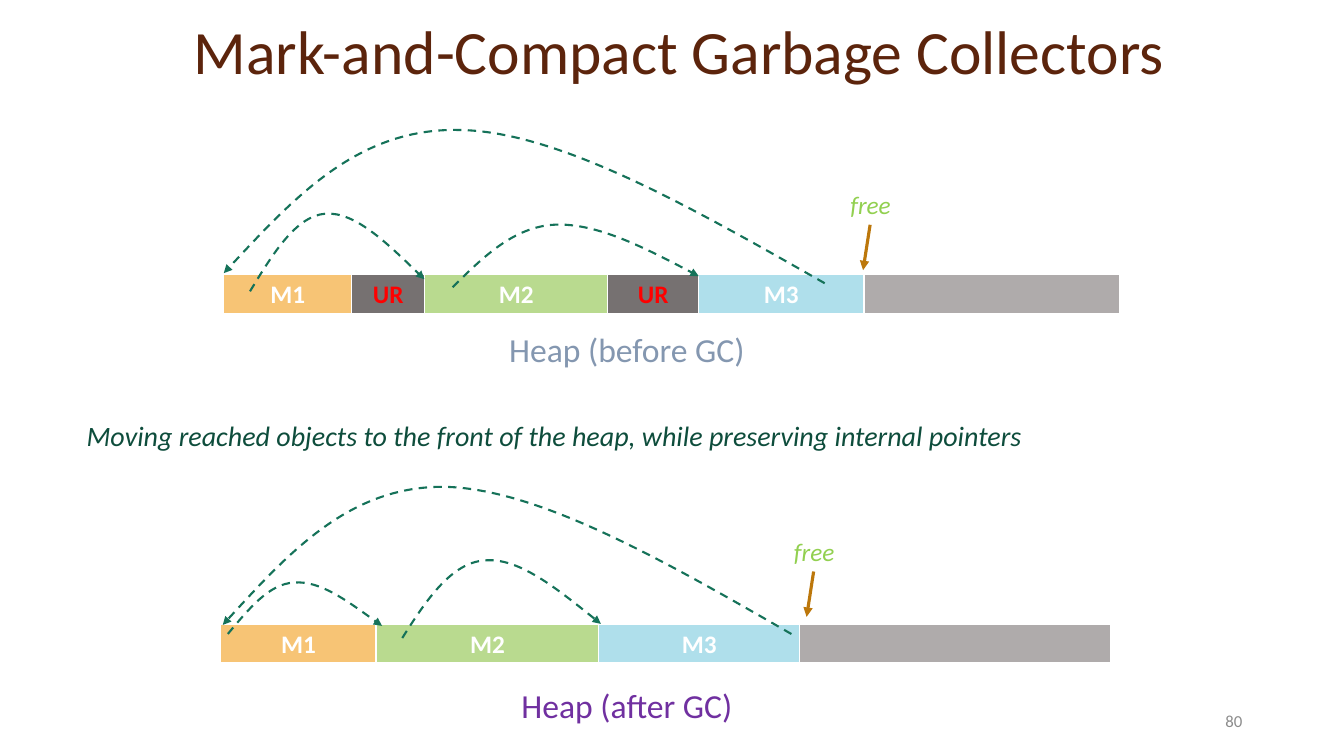
from pptx import Presentation
from pptx.dml.color import RGBColor
from pptx.enum.dml import MSO_LINE
from pptx.enum.shapes import MSO_CONNECTOR
from pptx.enum.text import MSO_ANCHOR, MSO_AUTO_SIZE, PP_ALIGN
from pptx.oxml.ns import qn
from pptx.util import Inches, Pt
from lxml.etree import SubElement

COLORS = {
    "title": "5C240C", "number": "8C8C8C", "before": "8497B0", "after": "7030A0",
    "note": "0E4D3C", "free": "92D050", "free arrow": "BC770B", "pointer": "157259",
    "white": "FFFFFF", "red": "FF0000", "M1": "F7C475", "M2": "B9DA8F",
    "M3": "AFDFEB", "UR": "767171", "": "AFABAB",
}
FONT = "Calibri"
BAR_HEIGHT = 0.4

# Text: wording, (left, top, width, height), colour, alignment, anchor, font values
CENTER, LEFT, RIGHT = PP_ALIGN.CENTER, PP_ALIGN.LEFT, PP_ALIGN.RIGHT
TOP, MIDDLE = MSO_ANCHOR.TOP, MSO_ANCHOR.MIDDLE
TEXTS = [
    (" Mark-and-Compact Garbage Collectors", (0.92, 0.16, 11.5, 0.76),
     "title", CENTER, MIDDLE, {"size": Pt(44)}),
    ("80", (9.42, 6.95, 3, 0.4), "number", RIGHT, MIDDLE, {"size": Pt(12)}),
    ("Heap (before GC) ", (4.73, 3.21, 3.05, 0.5), "before", CENTER, TOP, {"size": Pt(24)}),
    ("Heap (after GC) ", (4.73, 6.75, 3.05, 0.5), "after", CENTER, TOP, {"size": Pt(24)}),
    ("Moving reached objects to the front of the heap, while preserving internal pointers",
     (0.76, 4.1, 9.71, 0.44), "note", LEFT, TOP, {"size": Pt(20), "italic": True}),
]

# Heaps: bar corner, (block, width) cells, corner of the "free" label,
# and pointers as a start point followed by cubic Bézier points
HEAPS = [
    {"corner": (2.22, 2.72),
     "blocks": [("M1", 1.27), ("UR", 0.72), ("M2", 1.82), ("UR", 0.9), ("M3", 1.64), ("", 2.54)],
     "free": (8.18, 1.83),
     "pointers": [
         [(2.48, 2.89), (2.71, 2.51), (2.94, 2.14), (3.23, 2.12),
          (3.52, 2.1), (3.87, 2.44), (4.21, 2.77)],
         [(4.49, 2.85), (4.79, 2.55), (5.1, 2.25), (5.5, 2.23),
          (5.91, 2.21), (6.42, 2.47), (6.93, 2.74)],
         [(8.18, 2.81), (6.86, 2.06), (5.54, 1.3), (4.55, 1.29),
          (3.55, 1.27), (2.89, 1.99), (2.22, 2.71)]]},
    {"corner": (2.19, 6.19),
     "blocks": [("M1", 1.54), ("M2", 2.21), ("M3", 1.99), ("", 3.09)],
     "free": (7.62, 5.27),
     "pointers": [
         [(2.26, 6.29), (2.47, 6.04), (2.67, 5.79), (2.92, 5.78),
          (3.18, 5.76), (3.48, 5.99), (3.79, 6.21)],
         [(3.99, 6.33), (4.23, 5.95), (4.48, 5.58), (4.81, 5.56),
          (5.14, 5.53), (5.55, 5.86), (5.96, 6.19)],
         [(7.85, 6.29), (6.6, 5.57), (5.35, 4.85), (4.41, 4.83),
          (3.47, 4.82), (2.84, 5.51), (2.21, 6.2)]]},
]


def rgb(name):
    return RGBColor.from_string(COLORS[name])


def write(frame, text, color, align, values):
    para = frame.paragraphs[0]
    para.alignment = align
    span = para.add_run()
    span.text = text
    span.font.color.rgb = rgb(color)
    for key, value in {"name": FONT, **values}.items():
        setattr(span.font, key, value)
    return para


def add_text(page, text, place, color, align, anchor, values):
    box = page.shapes.add_textbox(*map(Inches, place))
    frame = box.text_frame
    frame.word_wrap = True
    frame.vertical_anchor = anchor
    if anchor == TOP:
        frame.auto_size = MSO_AUTO_SIZE.SHAPE_TO_FIT_TEXT
    return write(frame, text, color, align, values)


def style_arrow(shape, color, width):
    shape.line.color.rgb = rgb(color)
    shape.line.width = Pt(width)
    SubElement(shape.line._get_or_add_ln(), qn("a:tailEnd"), type="triangle")


def add_bar(page, corner, blocks):
    left, top = corner
    total = sum(width for _, width in blocks)
    table = page.shapes.add_table(1, len(blocks), Inches(left), Inches(top),
                                  Inches(total), Inches(BAR_HEIGHT)).table
    for index, (name, width) in enumerate(blocks):
        table.columns[index].width = Inches(width)
        cell = table.cell(0, index)
        # Borders go before the fill in the cell properties
        for side, points in {"L": 1, "R": 1, "T": 1, "B": 3}.items():
            border = SubElement(cell._tc.get_or_add_tcPr(), qn("a:ln" + side), w=str(Pt(points)))
            SubElement(SubElement(border, qn("a:solidFill")), qn("a:srgbClr"), val=COLORS["white"])
        cell.fill.solid()
        cell.fill.fore_color.rgb = rgb(name)
        if name:
            write(cell.text_frame, name, "red" if name == "UR" else "white", CENTER,
                  {"size": Pt(18), "bold": True})


def add_pointer(page, points):
    start, *rest = [(Inches(x), Inches(y)) for x, y in points]
    builder = page.shapes.build_freeform(*start)
    builder.add_line_segments(rest, close=False)
    curve = builder.convert_to_shape()
    # Every three straight steps become one cubic Bézier step
    outline = next(curve._element.iter(qn("a:path")))
    steps = outline.findall(qn("a:lnTo"))
    for first in range(0, len(steps), 3):
        bend = SubElement(outline, qn("a:cubicBezTo"))
        for step in steps[first:first + 3]:
            bend.append(step[0])
            outline.remove(step)
    curve.shadow.inherit = False
    curve.fill.background()
    curve.line.dash_style = MSO_LINE.DASH
    style_arrow(curve, "pointer", 1.5)


def add_free(page, corner):
    left, top = corner
    add_text(page, "free", (left, top, 0.91, 0.4), "free", CENTER, TOP,
             {"size": Pt(18), "italic": True})
    ends = (left + 0.45, top + 0.4, left + 0.38, top + 0.85)
    arrow = page.shapes.add_connector(MSO_CONNECTOR.STRAIGHT, *map(Inches, ends))
    style_arrow(arrow, "free arrow", 2.25)
    SubElement(arrow._element.spPr, qn("a:effectLst"))


def main():
    deck = Presentation()
    deck.slide_width, deck.slide_height = Inches(13.33), Inches(7.5)
    page = deck.slides.add_slide(deck.slide_layouts[6])

    # Title, page number, captions and note
    paras = [add_text(page, *entry) for entry in TEXTS]
    paras[0].line_spacing = 0.9

    # Heap before and after collection
    for heap in HEAPS:
        add_bar(page, heap["corner"], heap["blocks"])
        for points in heap["pointers"]:
            add_pointer(page, points)
        add_free(page, heap["free"])

    deck.save("out.pptx")


if __name__ == "__main__":
    main()
